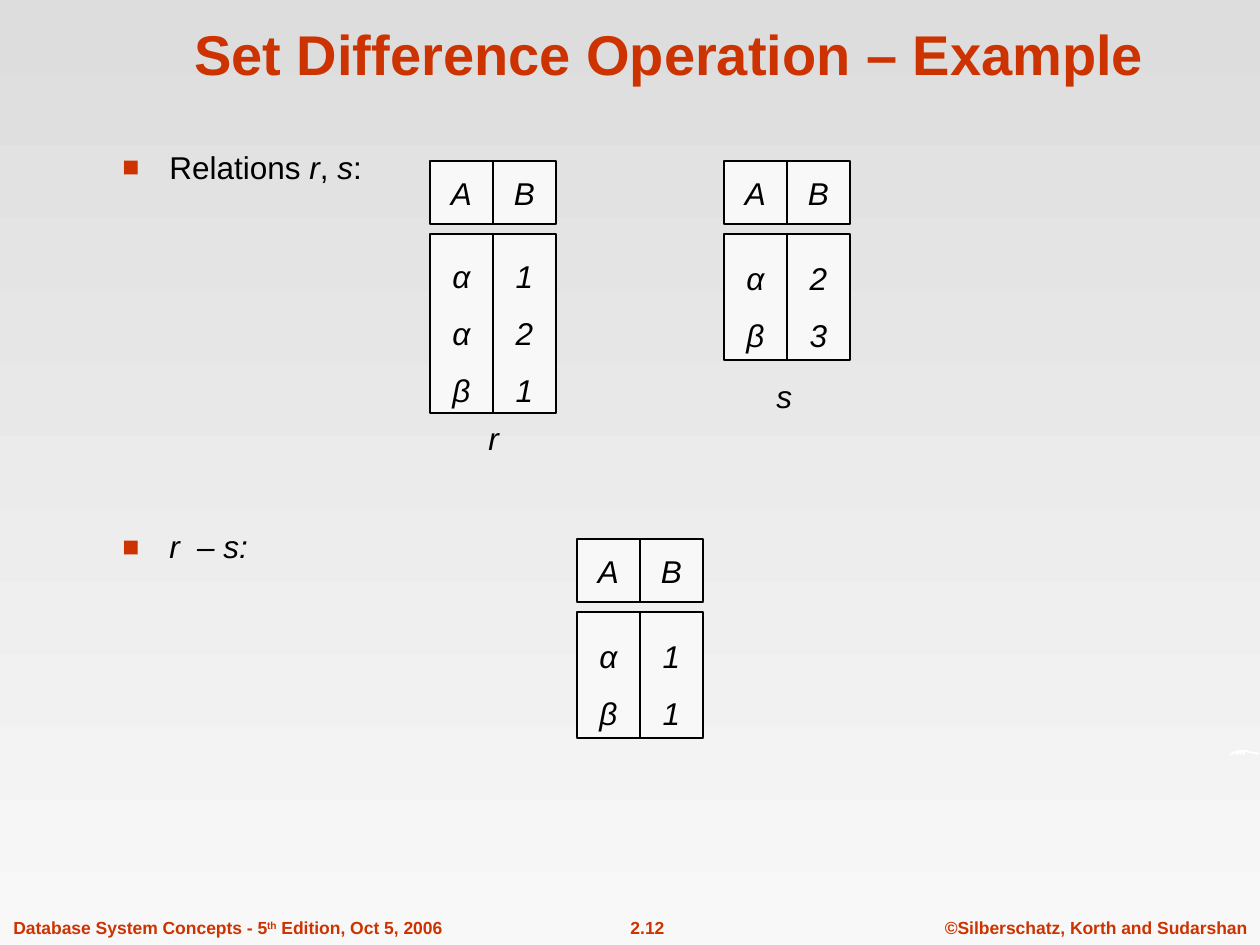
from lxml.etree import SubElement
from pptx import Presentation
from pptx.dml.color import RGBColor
from pptx.enum.shapes import MSO_SHAPE as Preset
from pptx.enum.text import MSO_ANCHOR as Anchor, MSO_AUTO_SIZE as AutoSize, PP_ALIGN as Align
from pptx.oxml.ns import qn
from pptx.util import Emu, Pt

EMU_PER_PX = 914400 / 126
COLORS = {
    "accent": "CC3300",
    "ink": "000000",
    "cell": "F8F8F8",
    "top": "DDDDDD",
    "bottom": "F8F8F8",
    "white": "FFFFFF",
}
CELL = 63
BODY_OFFSET = 73


def px(value):
    return Emu(round(value * EMU_PER_PX))


def color(name):
    return RGBColor.from_string(COLORS[name])


class SlideBuilder:
    font = "Arial"
    body_size = 18
    footer_size = 10
    title_size = 32

    def __init__(self, presentation):
        self.slide = presentation.slides.add_slide(presentation.slide_layouts[6])

    def background(self):
        fill = self.slide.background.fill
        fill.gradient()
        fill.gradient_angle = 270
        for stop, name, position in zip(fill.gradient_stops, ("top", "bottom"), (0, 1)):
            stop.color.rgb = color(name)
            stop.position = position

    def run(self, paragraph, text, size, ink="ink", bold=False, italic=False, baseline=0):
        run = paragraph.add_run()
        run.text = text
        font = run.font
        font.name, font.size = self.font, Pt(size)
        font.bold, font.italic = bold, italic
        font.color.rgb = color(ink)
        if baseline:
            run._r.get_or_add_rPr().set("baseline", str(baseline * 1000))

    def text_box(self, box, anchor=Anchor.TOP, wrap=False, align=Align.CENTER, before=0):
        shape = self.slide.shapes.add_textbox(*map(px, box))
        frame = shape.text_frame
        frame.word_wrap = wrap
        frame.vertical_anchor = anchor
        frame.auto_size = AutoSize.NONE if wrap else AutoSize.SHAPE_TO_FIT_TEXT
        paragraph = frame.paragraphs[0]
        paragraph.alignment = align
        paragraph.space_before = Pt(before)
        return paragraph

    def title(self, box, text):
        paragraph = self.text_box(box, Anchor.BOTTOM, wrap=True)
        self.run(paragraph, text, self.title_size, "accent", bold=True)

    def footer(self, box, parts, align=Align.CENTER):
        paragraph = self.text_box(box, align=align, before=6.2)
        for text, baseline in parts:
            self.run(paragraph, text, self.footer_size, "accent", bold=True, baseline=baseline)

    def bullet(self, box, parts, line_spacing):
        paragraph = self.text_box(box, wrap=True, align=Align.LEFT, before=7.9)
        paragraph.line_spacing = line_spacing
        properties = paragraph._p.get_or_add_pPr()
        indent = px(47)
        properties.set("marL", str(indent))
        properties.set("indent", str(-indent))
        bullet_color = SubElement(properties, qn("a:buClr"))
        SubElement(bullet_color, qn("a:srgbClr"), val=COLORS["accent"])
        SubElement(properties, qn("a:buSzPct"), val="90000")
        SubElement(properties, qn("a:buFont"), typeface=self.font)
        SubElement(properties, qn("a:buChar"), char="■")
        for text, italic in parts:
            self.run(paragraph, text, self.body_size, italic=italic)

    def caption(self, box, text):
        paragraph = self.text_box(box, Anchor.MIDDLE, before=11.2)
        self.run(paragraph, text, self.body_size, italic=True)

    def cell(self, box, lines, line_spacing):
        shape = self.slide.shapes.add_shape(Preset.RECTANGLE, *map(px, box))
        shape.shadow.inherit = False
        shape.fill.solid()
        shape.fill.fore_color.rgb = color("cell")
        shape.line.color.rgb = color("ink")
        shape.line.width = Pt(0.75)
        frame = shape.text_frame
        frame.word_wrap = False
        frame.vertical_anchor = Anchor.MIDDLE
        for index, text in enumerate(lines):
            paragraph = frame.add_paragraph() if index else frame.paragraphs[0]
            paragraph.alignment = Align.CENTER
            paragraph.line_spacing = line_spacing
            self.run(paragraph, text, self.body_size, italic=True)

    def relation(self, left, top, body_height, columns):
        for index, (heading, values) in enumerate(columns.items()):
            x = left + index * CELL
            self.cell((x, top, CELL, CELL), heading, 1.0)
            self.cell((x, top + BODY_OFFSET, CELL, body_height), values, 1.5)

    def outline(self, points):
        builder = self.slide.shapes.build_freeform(*points[0], scale=EMU_PER_PX)
        builder.add_line_segments(points[1:], close=True)
        shape = builder.convert_to_shape()
        shape.shadow.inherit = False
        shape.fill.solid()
        shape.fill.fore_color.rgb = color("white")
        shape.line.fill.background()


def main():
    presentation = Presentation()
    presentation.slide_width, presentation.slide_height = px(1260), px(945)
    builder = SlideBuilder(presentation)
    builder.background()

    builder.footer((932, 911, 328, 34), [("©Silberschatz, Korth and Sudarshan", 0)])
    builder.footer((586, 911, 123, 34), [("2.12", 0)])
    builder.footer(
        (1, 911, 454, 34),
        [("Database System Concepts - 5", 0), ("th", 30), (" Edition, Oct 5, 2006", 0)],
        Align.LEFT,
    )
    builder.outline([
        (1229, 757), (1231, 753), (1235, 751), (1240, 750), (1246, 750), (1253, 752),
        (1260, 753), (1257, 755), (1251, 753), (1245, 752), (1245, 756), (1241, 752),
        (1241, 756), (1238, 752), (1238, 756), (1235, 753), (1230, 756),
    ])

    builder.title((113, 9, 1113, 84), "Set Difference Operation – Example")
    builder.bullet(
        (110, 149, 945, 47),
        [("Relations ", False), ("r", True), (", ", False), ("s", True), (":", False)],
        0.8,
    )
    builder.bullet((110, 525, 969, 45), [("r  – s:", True)], 0.9)

    builder.relation(430, 161, 179, {"A": "ααβ", "B": "121"})
    builder.relation(724, 161, 126, {"A": "αβ", "B": "23"})
    builder.relation(577, 539, 126, {"A": "αβ", "B": "11"})
    builder.caption((476, 413, 35, 50), "r")
    builder.caption((764, 371, 40, 50), "s")

    presentation.save("out.pptx")


if __name__ == "__main__":
    main()
